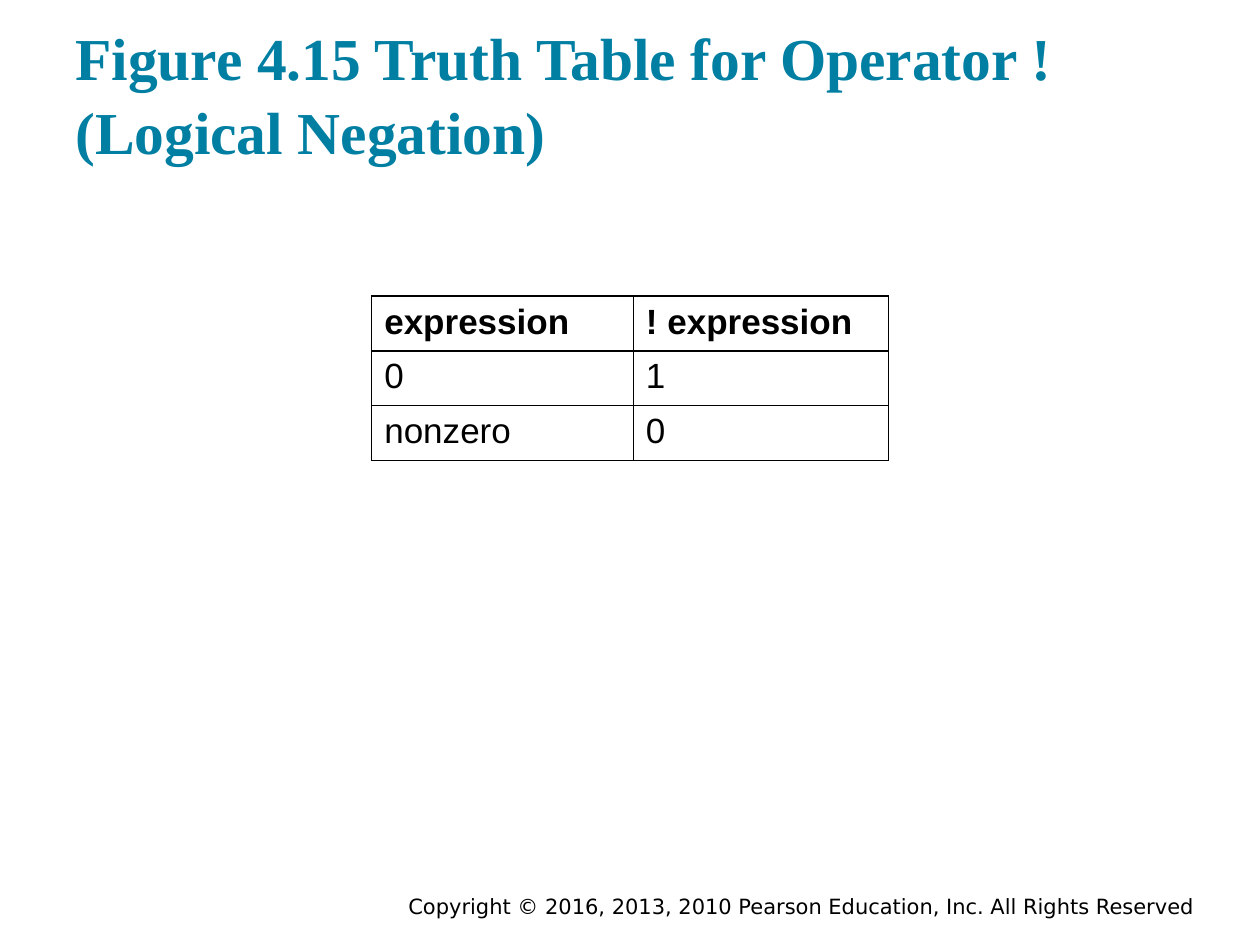
from lxml.etree import SubElement as Sub
from pptx import Presentation
from pptx.dml.color import RGBColor as RGB
from pptx.enum.text import MSO_ANCHOR as Anchor, PP_ALIGN as Align
from pptx.oxml.ns import qn
from pptx.util import Pt

TITLE = "Figure 4.15 Truth Table for Operator ! (Logical Negation)"
FOOT = "Copyright © 2016, 2013, 2010 Pearson Education, Inc. All Rights Reserved"
ROWS = [
    ("expression", "! expression"),
    ("0", "1"),
    ("nonzero", "0"),
]
COLS = (149.5, 145.7)
ROW_H = 31.3
THEME = {
    "title": dict(name="Times New Roman", size=Pt(34), bold=True, color="007FA3"),
    "head": dict(name="Arial", size=Pt(20), bold=True, color="000000"),
    "body": dict(name="Arial", size=Pt(20), bold=False, color="000000"),
    "foot": dict(name="DejaVu Sans", size=Pt(12), bold=False, color="000000"),
    "rule": ("000000", 1),
}


def style(font, kind):
    for key, val in THEME[kind].items():
        if key == "color":
            font.color.rgb = RGB.from_string(val)
        else:
            setattr(font, key, val)


def label(slide, box, text, kind, form, para):
    frame = slide.shapes.add_textbox(*map(Pt, box)).text_frame
    for key, val in form.items():
        setattr(frame, key, val)
    line = frame.paragraphs[0]
    for key, val in para.items():
        setattr(line, key, val)
    run = line.add_run()
    run.text = text
    style(run.font, kind)


def border(cell):
    color, width = THEME["rule"]
    props = cell._tc.get_or_add_tcPr()
    for at, side in enumerate(("lnL", "lnR", "lnT", "lnB")):
        edge = props.makeelement(qn(f"a:{side}"), {"w": str(Pt(width))})
        fill = Sub(edge, qn("a:solidFill"))
        Sub(fill, qn("a:srgbClr"), val=color)
        props.insert(at, edge)


def grid(slide, left, top):
    size = (len(ROWS), len(COLS))
    box = (left, top, sum(COLS), ROW_H * len(ROWS))
    table = slide.shapes.add_table(*size, *map(Pt, box)).table
    table.first_row = table.horz_banding = False
    for col, width in zip(table.columns, COLS):
        col.width = Pt(width)
    for r, texts in enumerate(ROWS):
        table.rows[r].height = Pt(ROW_H)
        for c, text in enumerate(texts):
            cell = table.cell(r, c)
            cell.fill.background()
            run = cell.text_frame.paragraphs[0].add_run()
            run.text = text
            style(run.font, "body" if r else "head")
            border(cell)


def main():
    deck = Presentation()
    deck.slide_width, deck.slide_height = Pt(720), Pt(540)
    slide = deck.slides.add_slide(deck.slide_layouts[6])
    pad = Pt(7.2)
    label(slide, (211, 509.8, 478.8, 15.8), FOOT, "foot",
          dict(word_wrap=True, vertical_anchor=Anchor.MIDDLE,
               margin_top=0, margin_bottom=0),
          dict(alignment=Align.RIGHT))
    label(slide, (36, 5, 648, 97.2), TITLE, "title",
          dict(word_wrap=True, vertical_anchor=Anchor.BOTTOM,
               margin_top=pad, margin_bottom=pad),
          dict(line_spacing=1.04))
    grid(slide, (720 - sum(COLS)) / 2, 169.2)
    deck.save("out.pptx")


if __name__ == "__main__":
    main()
